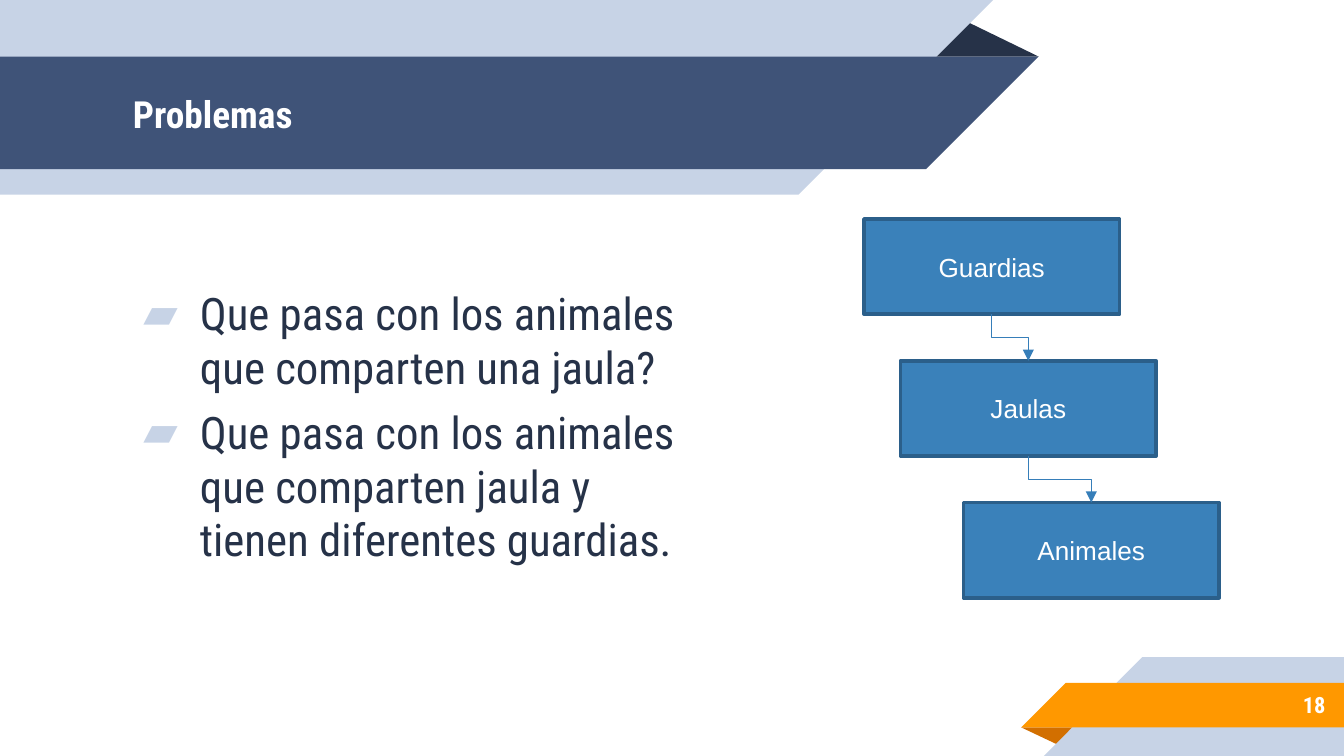
from pptx import Presentation
from pptx.dml.color import RGBColor
from pptx.enum.shapes import MSO_CONNECTOR, MSO_SHAPE
from pptx.enum.text import MSO_ANCHOR, PP_ALIGN
from pptx.oxml.ns import qn
from pptx.util import Cm, Pt
from lxml import etree

RECT = MSO_SHAPE.RECTANGLE
ELBOW = MSO_CONNECTOR.ELBOW
MIDDLE = MSO_ANCHOR.MIDDLE
LEFT, CENTER, RIGHT = PP_ALIGN.LEFT, PP_ALIGN.CENTER, PP_ALIGN.RIGHT

NAVY = RGBColor(0x26, 0x32, 0x48)
BLUE = RGBColor(0x3F, 0x53, 0x78)
PALE = RGBColor(0xC7, 0xD3, 0xE6)
ORANGE = RGBColor(0xFF, 0x98, 0x00)
BROWN = RGBColor(0xD2, 0x6F, 0x00)
WHITE = RGBColor(0xFF, 0xFF, 0xFF)
BOX_FILL = RGBColor(0x3A, 0x81, 0xBA)
BOX_LINE = RGBColor(0x2B, 0x5F, 0x8A)
ARROW = RGBColor(0x36, 0x7E, 0xB9)
CONDENSED = "Roboto Condensed"


def add_run(p, text, size, color, font=CONDENSED, bold=False):
    r = p.add_run()
    r.text = text
    r.font.name = font
    r.font.size = Pt(size)
    r.font.bold = bold
    r.font.color.rgb = color


def add_text_frame(left, top, width, height):
    tf = s.shapes.add_textbox(Cm(left), Cm(top), Cm(width), Cm(height)).text_frame
    tf.word_wrap = True
    tf.vertical_anchor = MIDDLE
    tf.margin_left = tf.margin_right = tf.margin_top = tf.margin_bottom = Cm(0.25)
    return tf


prs = Presentation()
prs.slide_width = Cm(25.4)
prs.slide_height = Cm(14.29)
s = prs.slides.add_slide(prs.slide_layouts[6])

# Ribbons at the top and in the lower right corner, back to front
ribbons = [
    (NAVY, [(17.48, 1.07), (18.17, 0.36), (19.63, 1.07)]),
    (PALE, [(0, 0), (18.77, 0), (15.09, 3.68), (0, 3.68)]),
    (BLUE, [(0, 1.07), (19.63, 1.07), (17.5, 3.2), (0, 3.2)]),
    (BROWN, [(19.3, 13.75), (20.4, 13.75), (20.04, 14.1)]),
    (PALE, [(21.59, 12.42), (25.4, 12.42), (25.4, 14.29), (19.73, 14.29)]),
    (ORANGE, [(20.14, 12.91), (25.4, 12.91), (25.4, 13.75), (19.3, 13.75)]),
]
for color, points in ribbons:
    corners = [(Cm(x), Cm(y)) for x, y in points]
    builder = s.shapes.build_freeform(*corners[0], scale=1.0)
    builder.add_line_segments(corners[1:], close=True)
    sp = builder.convert_to_shape()
    sp.shadow.inherit = False
    sp.fill.solid()
    sp.fill.fore_color.rgb = color
    sp.line.fill.background()

# Title and slide number
for place, text, size, align in [
    ((2.26, 1.09, 15.27, 2.13), "Problemas", 20, LEFT),
    ((21.16, 12.88, 4.14, 0.89), "18", 12, RIGHT),
]:
    p = add_text_frame(*place).paragraphs[0]
    p.alignment = align
    add_run(p, text, size, WHITE, bold=True)

# Bulleted questions
questions = [
    "Que pasa con los animales que comparten una jaula?",
    "Que pasa con los animales que comparten jaula y tienen diferentes guardias.",
]
tf = add_text_frame(2.26, 3.68, 11.1, 8.74)
for i, text in enumerate(questions):
    p = tf.add_paragraph() if i else tf.paragraphs[0]
    pPr = p._p.get_or_add_pPr()
    pPr.set("marL", str(Cm(1.27)))
    pPr.set("indent", str(-Cm(1.07)))
    bu_color = etree.SubElement(pPr, qn("a:buClr"))
    etree.SubElement(bu_color, qn("a:srgbClr"), val=str(PALE))
    etree.SubElement(pPr, qn("a:buFont"), typeface=CONDENSED)
    etree.SubElement(pPr, qn("a:buChar"), char="▰")
    if i:
        p.space_before = Pt(6)
    add_run(p, text, 24, NAVY)

# Staircase of boxes
boxes = []
for i, (name, left) in enumerate([("Guardias", 16.33), ("Jaulas", 17.02), ("Animales", 18.21)]):
    sp = s.shapes.add_shape(RECT, Cm(left), Cm(4.14 + 2.68 * i), Cm(4.83), Cm(1.8))
    sp.shadow.inherit = False
    sp.fill.solid()
    sp.fill.fore_color.rgb = BOX_FILL
    sp.line.color.rgb = BOX_LINE
    sp.line.width = Pt(2)
    sp.text_frame.vertical_anchor = MIDDLE
    p = sp.text_frame.paragraphs[0]
    p.alignment = CENTER
    add_run(p, name, 14, WHITE, font="Arial")
    boxes.append(sp)

# Elbow arrows from each box down to the next
for upper, lower in zip(boxes, boxes[1:]):
    x1, y1 = upper.left + upper.width // 2, upper.top + upper.height
    x2, y2 = lower.left + lower.width // 2, lower.top
    dx, dy = x2 - x1, y2 - y1
    c = s.shapes.add_connector(ELBOW, x1, y1, x2, y2)
    c.begin_connect(upper, 2)
    c.end_connect(lower, 0)
    # A quarter turn plus a flip makes the elbow leave vertically
    c.left, c.top = (x1 + x2 - dy) // 2, (y1 + y2 - dx) // 2
    c.width, c.height = dy, dx
    spPr = c._element.spPr
    xfrm = spPr.find(qn("a:xfrm"))
    xfrm.set("rot", "16200000")
    xfrm.set("flipH", "1")
    c.line.color.rgb = ARROW
    c.line.width = Pt(0.75)
    etree.SubElement(c.line._get_or_add_ln(), qn("a:tailEnd"), type="triangle")
    etree.SubElement(spPr, qn("a:effectLst"))

prs.save("out.pptx")
